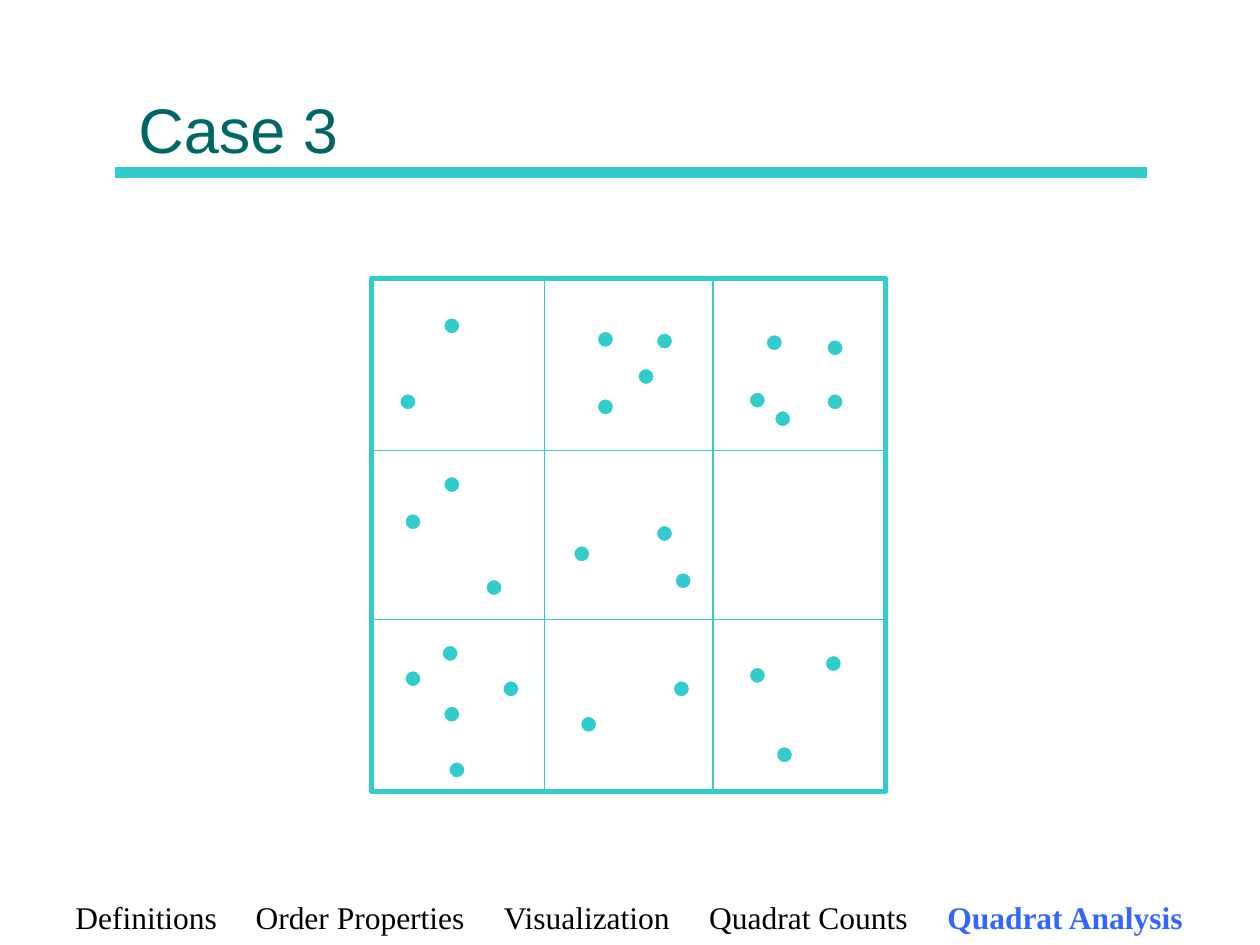
from lxml import etree
from pptx import Presentation
from pptx.dml.color import RGBColor
from pptx.enum.shapes import MSO_CONNECTOR, MSO_SHAPE
from pptx.enum.text import MSO_ANCHOR
from pptx.oxml.ns import qn
from pptx.util import Inches, Pt

STRAIGHT = MSO_CONNECTOR.STRAIGHT
RECT, OVAL = MSO_SHAPE.RECTANGLE, MSO_SHAPE.OVAL
TOP, BOTTOM = MSO_ANCHOR.TOP, MSO_ANCHOR.BOTTOM
TEAL = "33CCCC"
rgb = RGBColor.from_string


def add_line(shapes, x1, y1, x2, y2, width):
    ln = shapes.add_connector(STRAIGHT, *(Inches(v) for v in (x1, y1, x2, y2)))
    ln.line.color.rgb = rgb(TEAL)
    ln.line.width = Pt(width)
    etree.SubElement(ln._element.spPr, qn("a:effectLst"))


def add_text(box, anchor, runs, font, size, tabs=()):
    tf = s.shapes.add_textbox(*(Inches(v) for v in box)).text_frame
    tf.word_wrap = True
    tf.vertical_anchor = anchor
    p = tf.paragraphs[0]
    if tabs:
        tab_list = etree.SubElement(p._p.get_or_add_pPr(), qn("a:tabLst"))
        for pos in tabs:
            etree.SubElement(tab_list, qn("a:tab"), pos=str(Inches(pos)), algn="l")
    for text, color, bold in runs:
        r = p.add_run()
        r.text = text
        r.font.name, r.font.size, r.font.bold = font, Pt(size), bold
        r.font.color.rgb = rgb(color)


prs = Presentation()
prs.slide_width, prs.slide_height = Inches(10), Inches(7.5)
s = prs.slides.add_slide(prs.slide_layouts[6])

# Title and rule
add_line(s.shapes, 0.91, 1.37, 9.1, 1.37, 6)
add_text((1, 0.12, 8, 1.25), BOTTOM, [("Case 3", "006666", False)], "Arial", 36)

# Study area, split into 3 x 3 quadrats
left, top, width, height = 2.95, 2.21, 4.08, 4.07
cell = 1.34
x0 = left + (width - 3 * cell) / 2
y0 = top + (height - 3 * cell) / 2
grp = s.shapes.add_group_shape().shapes
sp = grp.add_shape(RECT, *(Inches(v) for v in (left, top, width, height)))
sp.shadow.inherit = False
sp.fill.background()
sp.line.color.rgb = rgb(TEAL)
sp.line.width = Pt(3)
for i in (1, 2):
    x, y = x0 + i * cell, y0 + i * cell
    add_line(grp, x, top, x, top + height, 0.75)
    add_line(grp, left, y, left + width, y, 0.75)

# Points by (column, row), placed as shares of their quadrat
points = {
    (0, 0): [(0.14, 0.66), (0.4, 0.21)],
    (1, 0): [(0.66, 0.3), (0.31, 0.69), (0.31, 0.29), (0.55, 0.51)],
    (2, 0): [(0.21, 0.65), (0.31, 0.31), (0.36, 0.76), (0.67, 0.34), (0.67, 0.66)],
    (0, 1): [(0.4, 0.15), (0.65, 0.76), (0.17, 0.37)],
    (1, 1): [(0.77, 0.72), (0.17, 0.56), (0.66, 0.44)],
    (0, 2): [(0.39, 0.15), (0.17, 0.3), (0.43, 0.84), (0.4, 0.51), (0.75, 0.36)],
    (1, 2): [(0.76, 0.36), (0.21, 0.57)],
    (2, 2): [(0.66, 0.21), (0.21, 0.28), (0.37, 0.75)],
}
dot = Inches(0.14)
for (col, row), offsets in points.items():
    for dx, dy in offsets:
        sp = grp.add_shape(OVAL, Inches(x0 + (col + dx) * cell),
                           Inches(y0 + (row + dy) * cell), dot, dot)
        sp.shadow.inherit = False
        sp.fill.solid()
        sp.fill.fore_color.rgb = rgb(TEAL)
        sp.line.color.rgb = rgb("FFFFFF")
        sp.line.width = Pt(1.5)

# Section footer, current section highlighted
sections = ["Definitions", "Order Properties", "Visualization", "Quadrat Counts"]
runs = [("\t".join(sections) + "\t", "000000", False),
        ("Quadrat Analysis", "3366FF", True)]
add_text((0.5, 7.08, 9.09, 0.4), TOP, runs, "Times New Roman", 18,
         tabs=(1.43, 3.4, 5.03, 6.92))

prs.save("out.pptx")
